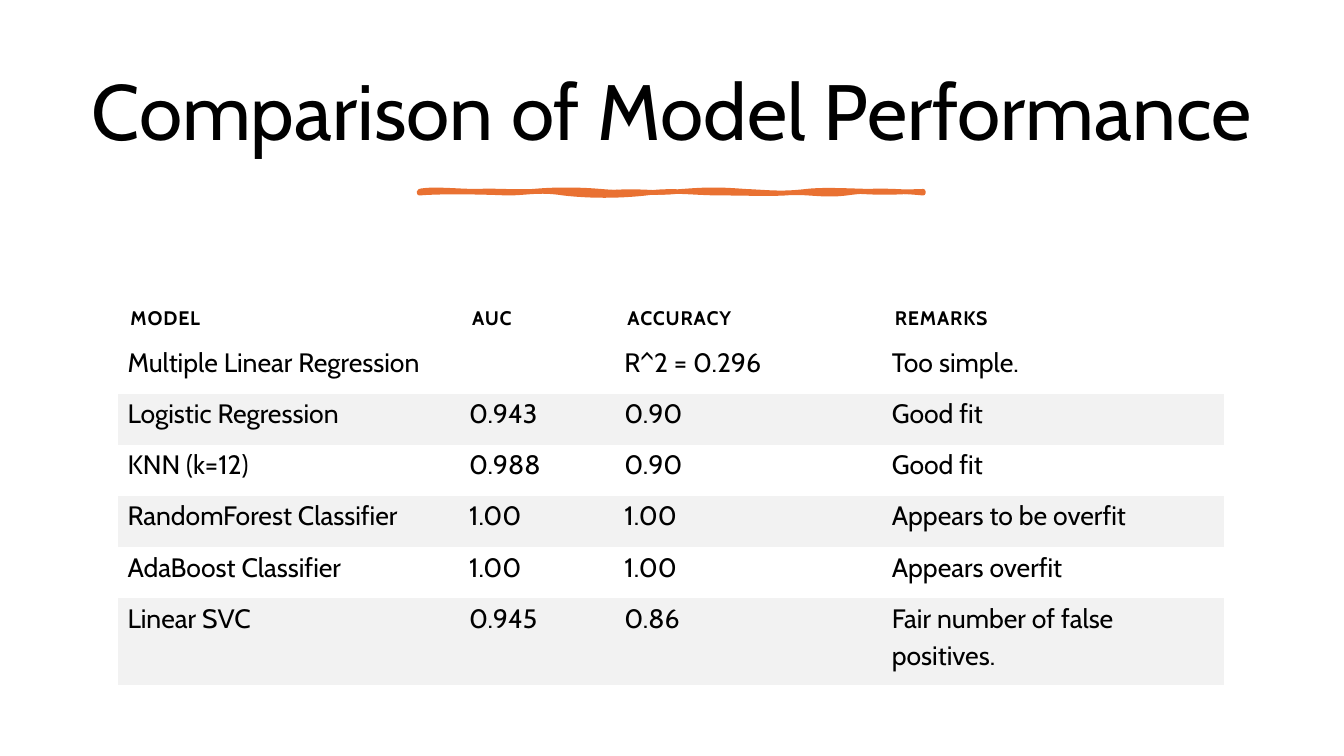
from copy import deepcopy
from dataclasses import dataclass

from lxml.etree import SubElement
from pptx import Presentation
from pptx.dml.color import RGBColor
from pptx.enum.text import MSO_ANCHOR, MSO_AUTO_SIZE, PP_ALIGN
from pptx.oxml.ns import qn
from pptx.util import Pt

NO_TABLE_STYLE = "{2D5ABB26-0587-4C30-8999-92F81FD0307C}"


@dataclass(frozen=True)
class Theme:
    font: str = "Cabin"
    text: RGBColor = RGBColor(0x00, 0x00, 0x00)
    accent: RGBColor = RGBColor(0xE9, 0x71, 0x32)
    band: RGBColor = RGBColor(0xF2, 0xF2, 0xF2)
    title_size: float = 56
    header_size: float = 14
    body_size: float = 19


MODEL_ROWS = [
    ("MODEL", "AUC", "ACCURACY", "REMARKS"),
    ("Multiple Linear Regression", "", "R^2 = 0.296", "Too simple."),
    ("Logistic Regression", "0.943", "0.90", "Good fit"),
    ("KNN (k=12)", "0.988", "0.90", "Good fit"),
    ("RandomForest Classifier", "1.00", "1.00", "Appears to be overfit"),
    ("AdaBoost Classifier", "1.00", "1.00", "Appears overfit"),
    ("Linear SVC", "0.945", "0.86", "Fair number of false positives."),
]
COLUMN_WIDTHS = [244, 111, 191, 244]
ROW_HEIGHTS = [37.4] + [36.5] * 5 + [62.6]

# Cubic curves from (0, 0): two control points and an end point each.
STROKE_OUTLINE = [
    (8.6, -2.2, 27.4, 0, 41, 0),
    (54.7, -0.7, 67, 0.7, 81.4, 0),
    (95.8, -1.4, 113.8, -1.4, 129.6, 0),
    (144.7, 1.4, 170.6, 1.4, 187.9, 0),
    (205.9, -1.4, 214.6, -1.4, 232.6, 0),
    (249.8, 0.7, 257.8, 2.2, 276.5, 0),
    (295.2, -2.2, 324.7, 1.4, 360, 0),
    (360.7, 0.7, 360, 0.7, 360, 1.4),
    (344.9, 0, 323.3, -1.4, 305.3, 1.4),
    (287.3, 3.6, 277.2, 0, 261.4, 1.4),
    (244.8, 2.2, 238.3, 1.4, 216.7, 1.4),
    (195.1, 1.4, 180.7, -1.4, 162, 1.4),
    (142.6, 3.6, 121.7, 3.6, 103, 1.4),
    (85, -1.4, 77, 1.4, 62.6, 1.4),
    (48.2, 0.7, 15.8, 0, 0, 1.4),
    (0, 0.7, 0, 0, 0, 0),
]
STROKE_FILL = [
    (11.5, -0.7, 25.9, -1.4, 44.6, 0),
    (62.6, 0.7, 66.2, 1.4, 85, 0),
    (103.7, -1.4, 113.8, 1.4, 129.6, 0),
    (145.4, -2.2, 160.6, -1.4, 180.7, 0),
    (200.9, 0.7, 221.8, -2.2, 236.2, 0),
    (249.8, 1.4, 277.9, -1.4, 294.5, 0),
    (311, 0.7, 328.3, 2.2, 360, 0),
    (360, 0, 360, 0.7, 360, 1.4),
    (333.4, 2.9, 331.2, 2.9, 305.3, 1.4),
    (279.4, -0.7, 273.6, 0.7, 247, 1.4),
    (219.6, 1.4, 216, -1.4, 187.9, 1.4),
    (160.6, 4.3, 159.1, 0, 147.6, 1.4),
    (135.4, 2.2, 112.3, 2.2, 92.2, 1.4),
    (72.7, 0, 63.4, 0.7, 44.6, 1.4),
    (25.9, 1.4, 18, -0.7, 0, 1.4),
    (0, 0.7, 0, 0, 0, 0),
]


def bend_path(path, curves):
    """Replace the straight segments of a closed path with cubic curves."""
    for segment in path[1:]:
        path.remove(segment)
    for curve in curves:
        bezier = SubElement(path, qn("a:cubicBezTo"))
        for x, y in zip(curve[::2], curve[1::2]):
            SubElement(bezier, qn("a:pt"), x=str(int(Pt(x))), y=str(int(Pt(y))))
    SubElement(path, qn("a:close"))


class SlideBuilder:
    def __init__(self, slide, theme):
        self.slide = slide
        self.theme = theme

    def format_runs(self, paragraph, size, bold=False, spacing=0):
        for run in paragraph.runs:
            run.font.name = self.theme.font
            run.font.size = Pt(size)
            run.font.bold = bold
            run.font.color.rgb = self.theme.text
            if spacing:
                run._r.get_or_add_rPr().set("spc", str(round(spacing * 100)))

    def title(self, text, left, top, width, height):
        title = self.slide.shapes.title
        title.left, title.top = Pt(left), Pt(top)
        title.width, title.height = Pt(width), Pt(height)
        frame = title.text_frame
        frame.text = text
        frame.word_wrap = True
        frame.auto_size = MSO_AUTO_SIZE.NONE
        frame.vertical_anchor = MSO_ANCHOR.MIDDLE
        paragraph = frame.paragraphs[0]
        paragraph.alignment = PP_ALIGN.CENTER
        paragraph.line_spacing = 0.9
        self.format_runs(paragraph, self.theme.title_size)

    def brush_stroke(self, outline, filling, left, top, line_width):
        """Draw a freeform with one path for its line and one for its fill."""
        builder = self.slide.shapes.build_freeform(Pt(left), Pt(top))
        builder.add_line_segments([(Pt(left + c[4]), Pt(top + c[5])) for c in outline])
        stroke = builder.convert_to_shape()
        line_path = next(stroke._element.iter(qn("a:path")))
        fill_path = deepcopy(line_path)
        line_path.addnext(fill_path)
        line_path.set("fill", "none")
        fill_path.set("stroke", "0")
        bend_path(line_path, outline)
        bend_path(fill_path, filling)
        stroke.shadow.inherit = False
        stroke.fill.solid()
        stroke.fill.fore_color.rgb = self.theme.accent
        stroke.line.color.rgb = self.theme.accent
        stroke.line.width = Pt(line_width)

    def table(self, rows, left, top, widths, heights):
        frame = self.slide.shapes.add_table(
            len(rows), len(widths), Pt(left), Pt(top), Pt(sum(widths)), Pt(sum(heights)))
        table = frame.table
        table.horz_banding = False
        table._tbl.tblPr.find(qn("a:tableStyleId")).text = NO_TABLE_STYLE
        for column, width in zip(table.columns, widths):
            column.width = Pt(width)
        for index, (row, height, texts) in enumerate(zip(table.rows, heights, rows)):
            row.height = Pt(height)
            for cell, text in zip(row.cells, texts):
                cell.text_frame.text = text
                if index == 0:
                    self.header_cell(cell)
                else:
                    self.body_cell(cell, banded=index % 2 == 0)

    def header_cell(self, cell):
        cell.fill.background()
        cell.vertical_anchor = MSO_ANCHOR.BOTTOM
        cell.margin_left = cell.margin_right = Pt(8.6)
        cell.margin_top = cell.margin_bottom = Pt(8.6)
        self.format_runs(
            cell.text_frame.paragraphs[0], self.theme.header_size, bold=True, spacing=0.6)

    def body_cell(self, cell, banded):
        if banded:
            cell.fill.solid()
            cell.fill.fore_color.rgb = self.theme.band
        else:
            cell.fill.background()
        cell.vertical_anchor = MSO_ANCHOR.TOP
        cell.margin_left = cell.margin_right = Pt(6.5)
        cell.margin_top, cell.margin_bottom = Pt(0), Pt(8.6)
        paragraph = cell.text_frame.paragraphs[0]
        paragraph.line_spacing = 1.15
        paragraph.space_after = Pt(8)
        self.format_runs(paragraph, self.theme.body_size)


def main():
    presentation = Presentation()
    presentation.slide_width, presentation.slide_height = Pt(960), Pt(540)
    title_only = presentation.slide_layouts.get_by_name("Title Only")
    builder = SlideBuilder(presentation.slides.add_slide(title_only), Theme())
    builder.title("Comparison of Model Performance", 50.4, 33.1, 859, 98.6)
    builder.brush_stroke(STROKE_OUTLINE, STROKE_FILL, 299.5, 136.6, 3.25)
    builder.table(MODEL_ROWS, 84.6, 207.2, COLUMN_WIDTHS, ROW_HEIGHTS)
    presentation.save("out.pptx")


if __name__ == "__main__":
    main()
